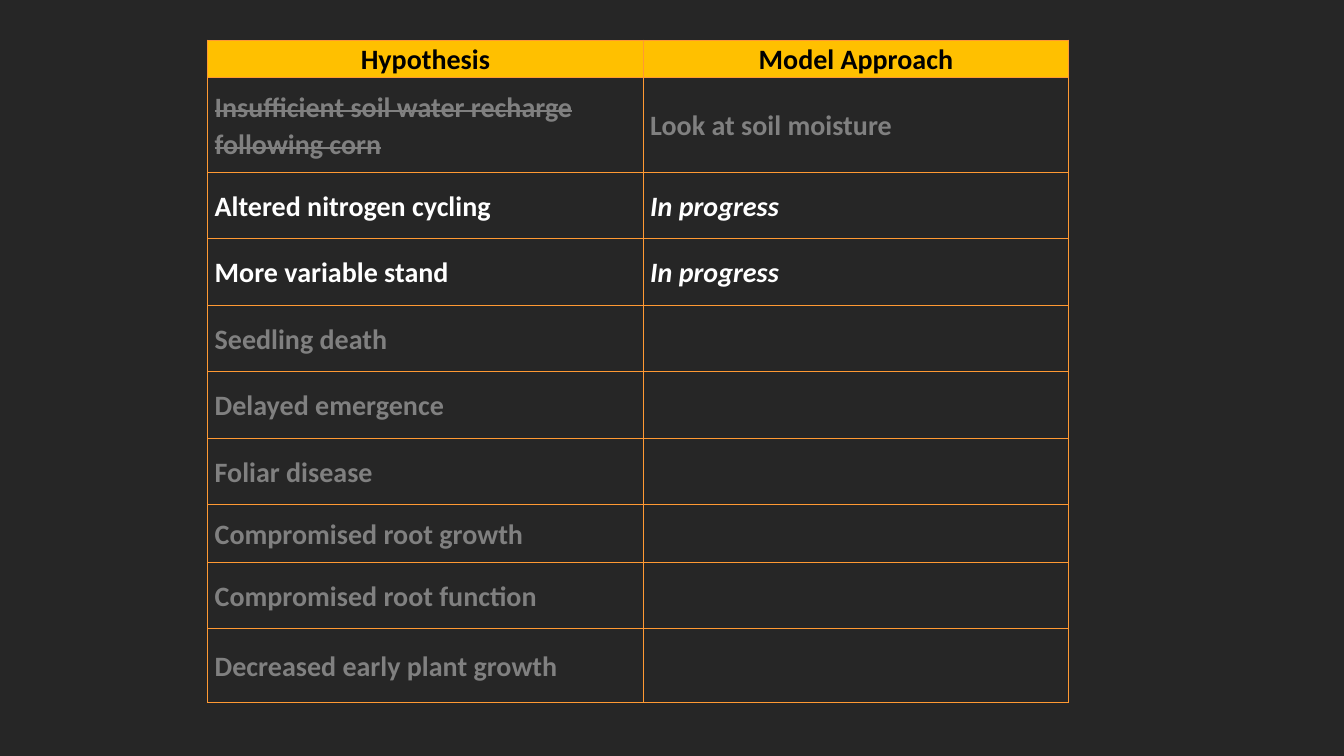
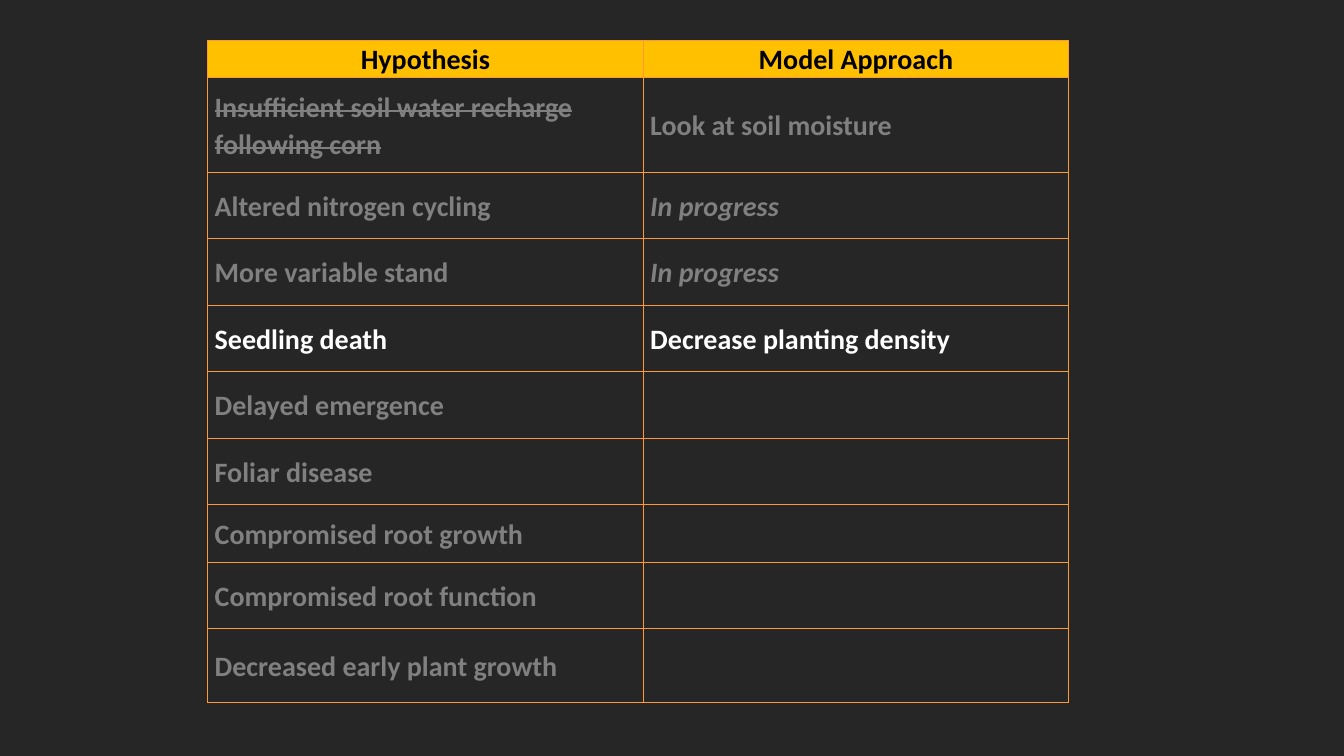
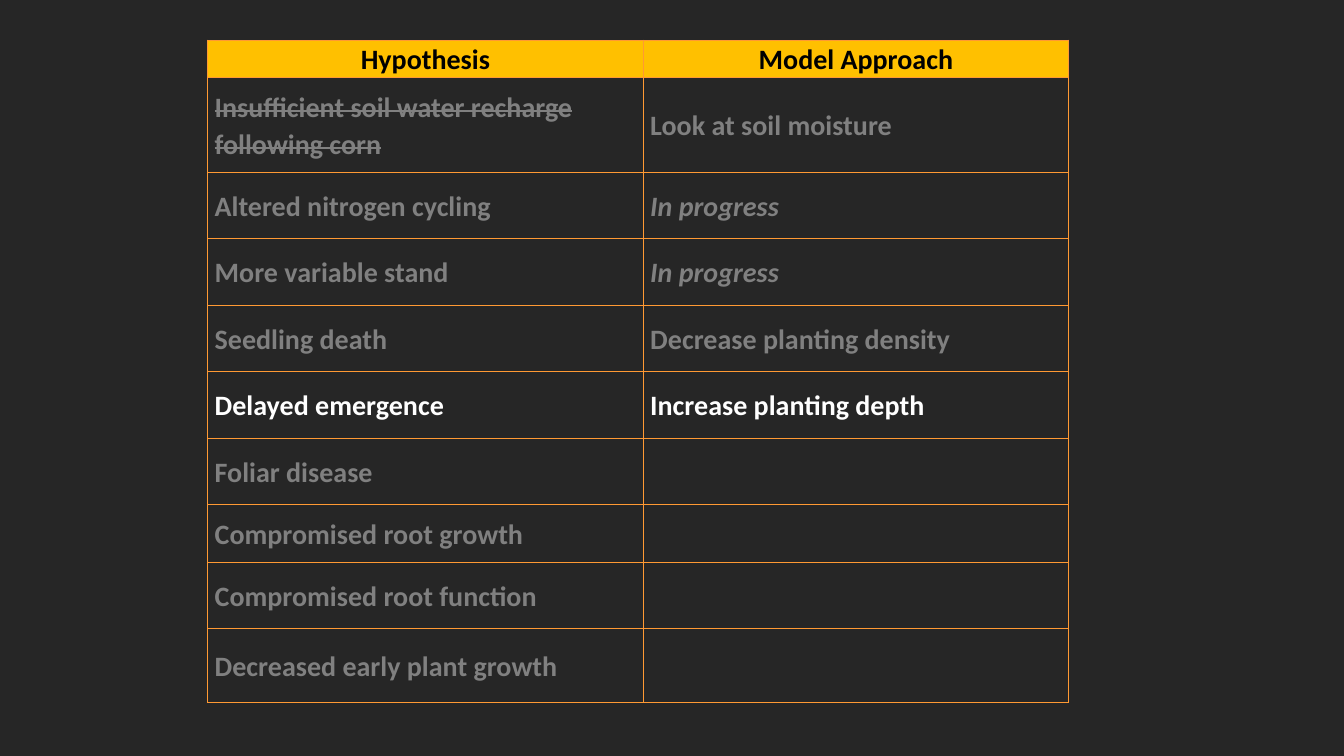
from lxml import etree
from pptx import Presentation
from pptx import util as u
from pptx.dml.color import RGBColor
from pptx.enum import text
from pptx.oxml import ns

COLORS = {
    "background": "262626",
    "header": "FFC000",
    "header_text": "000000",
    "border": "FF9933",
    "active": "FFFFFF",
    "muted": "808080",
}
HEADERS = ["Hypothesis", "Model Approach"]
HYPOTHESES = [
    ("Insufficient soil water recharge following corn", "Look at soil moisture"),
    ("Altered nitrogen cycling", "In progress"),
    ("More variable stand", "In progress"),
    ("Seedling death", "Decrease planting density"),
    ("Delayed emergence", "Increase planting depth"),
    ("Foliar disease", ""),
    ("Compromised root growth", ""),
    ("Compromised root function", ""),
    ("Decreased early plant growth", ""),
]
REJECTED = HYPOTHESES[0][0]
PENDING = "In progress"
COLUMN_WIDTHS = [4.32, 4.22]
ROW_HEIGHTS = [0.37, 0.94] + [0.66] * 5 + [0.57, 0.66, 0.73]
ACTIVE_ROWS = [(1, 2), (3,), (4,)]


class Deck:
    font = "Calibri"
    size = u.Pt(20)

    def __init__(self):
        self.prs = Presentation()
        self.prs.slide_width = u.Inches(13.33)
        self.prs.slide_height = u.Inches(7.5)
        fill = self.prs.slide_master.background.fill
        fill.solid()
        fill.fore_color.rgb = self.color("background")

    def color(self, name):
        return RGBColor.from_string(COLORS[name])

    def add_slide(self):
        self.s = self.prs.slides.add_slide(self.prs.slide_layouts[6])

    def border(self, cell):
        tcPr = cell._tc.get_or_add_tcPr()
        for i, side in enumerate(("lnL", "lnR", "lnT", "lnB")):
            ln = etree.Element(ns.qn(f"a:{side}"), w=str(u.Pt(1)))
            fill = etree.SubElement(ln, ns.qn("a:solidFill"))
            etree.SubElement(fill, ns.qn("a:srgbClr"), val=COLORS["border"])
            tcPr.insert(i, ln)

    def cell(self, cell, words, color, header=False):
        cell.margin_left = cell.margin_right = u.Inches(0.07)
        cell.margin_top = cell.margin_bottom = 0
        cell.vertical_anchor = text.MSO_ANCHOR.MIDDLE
        if header:
            cell.fill.solid()
            cell.fill.fore_color.rgb = self.color("header")
        else:
            cell.fill.background()
        self.border(cell)
        if not words:
            return
        p = cell.text_frame.paragraphs[0]
        p.text = words
        p.line_spacing = 1.07
        p.space_after = u.Pt(8)
        if header:
            p.alignment = text.PP_ALIGN.CENTER
        r = p.runs[0]
        r.font.name = self.font
        r.font.size = self.size
        r.font.bold = True
        r.font.italic = words == PENDING
        r.font.color.rgb = self.color(color)
        if words == REJECTED:
            r.font._element.set("strike", "sngStrike")

    def hypothesis_table(self, active):
        table = self.s.shapes.add_table(
            len(ROW_HEIGHTS), len(COLUMN_WIDTHS), u.Inches(2.06), u.Inches(0.4),
            u.Inches(sum(COLUMN_WIDTHS)), u.Inches(sum(ROW_HEIGHTS))).table
        table.horz_banding = False
        for column, width in zip(table.columns, COLUMN_WIDTHS):
            column.width = u.Inches(width)
        for row, height in zip(table.rows, ROW_HEIGHTS):
            row.height = u.Inches(height)
        for j, words in enumerate(HEADERS):
            self.cell(table.cell(0, j), words, "header_text", header=True)
        for i, (hypothesis, approach) in enumerate(HYPOTHESES):
            color = "active" if i in active else "muted"
            shown = approach if i <= max(active) else ""
            self.cell(table.cell(i + 1, 0), hypothesis, color)
            self.cell(table.cell(i + 1, 1), shown, color)


def main():
    deck = Deck()
    for active in ACTIVE_ROWS:
        deck.add_slide()
        deck.hypothesis_table(active)
    deck.prs.save("out.pptx")


if __name__ == "__main__":
    main()
